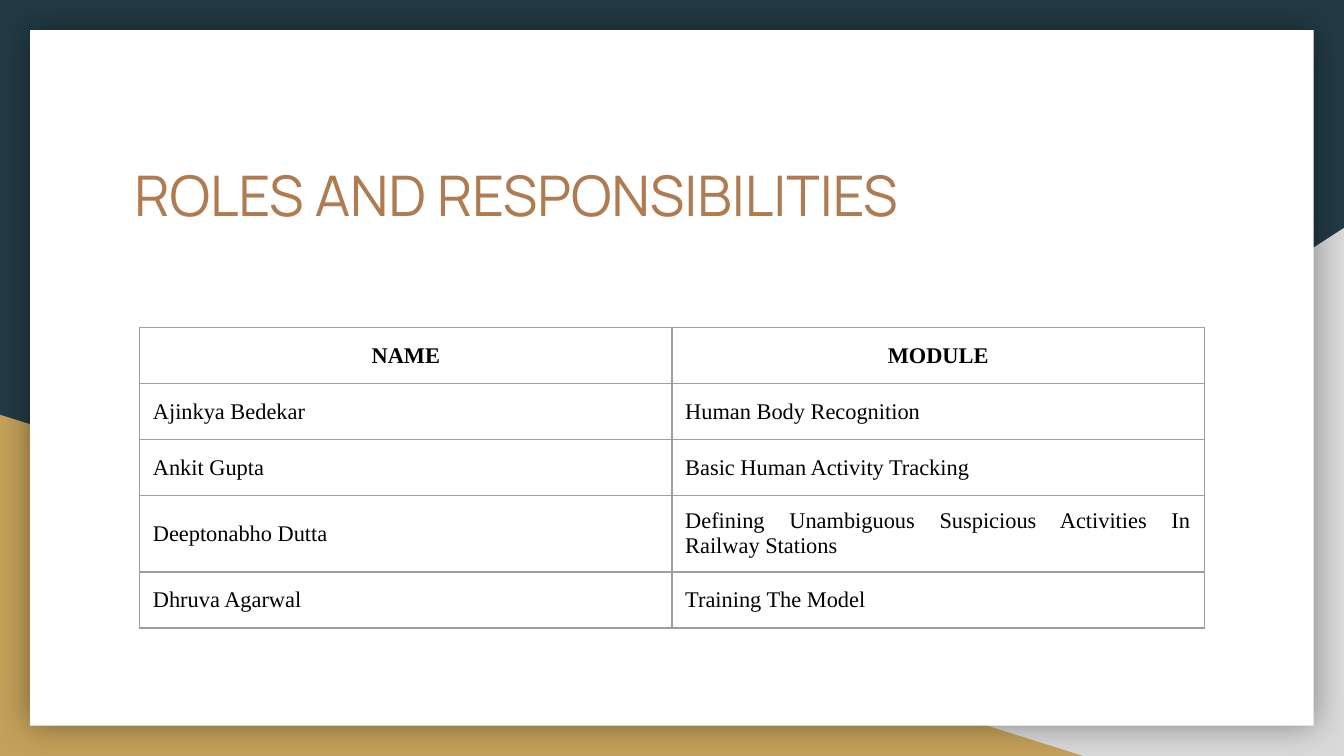
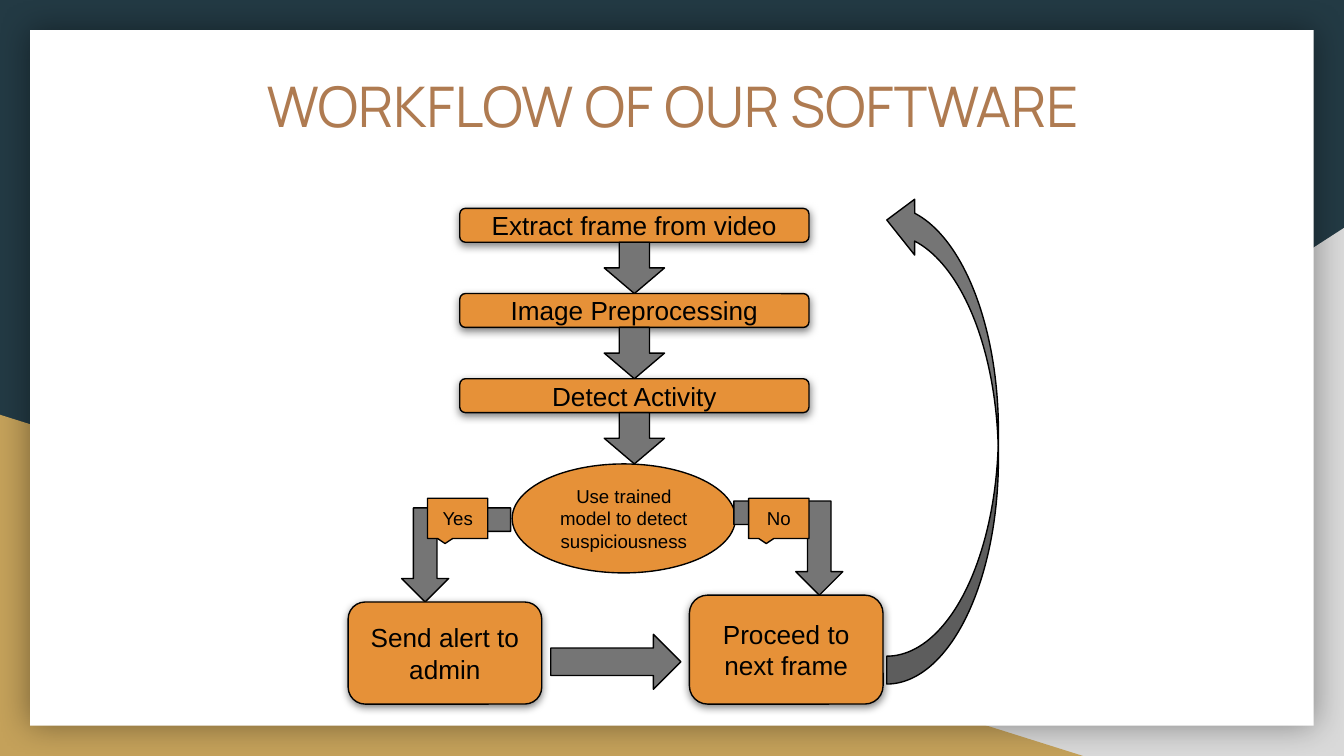
import collections

import lxml.etree
import pptx
import pptx.dml.color
import pptx.enum.shapes
import pptx.enum.text
import pptx.oxml.ns
import pptx.util

Cm = pptx.util.Cm
Pt = pptx.util.Pt
Kind = pptx.enum.shapes.MSO_SHAPE
Align = pptx.enum.text.PP_ALIGN
qn = pptx.oxml.ns.qn

Box = collections.namedtuple("Box", "left top width height")
Shadow = collections.namedtuple("Shadow", "color alpha blur distance direction")

COLORS = {
    "background": "233A44",
    "grey_corner": "D9D9D9",
    "gold_corner": "C4A15A",
    "card": "FFFFFF",
    "title": "AF7B51",
    "text": "000000",
    "step": "E69138",
    "arrow": "757575",
    "outline": "000000",
    "table_border": "9E9E9E",
}
FONTS = {"title": "Manrope", "table": "Times New Roman", "flow": "Arial"}
CARD_SHADOW = Shadow("000000", 40, 18, 0, 0)
STEP_SHADOW = Shadow("000000", 50, 4.5, 1.5, 90)
INSET = 0.25

ROLES = [
    ("NAME", "MODULE"),
    ("Ajinkya Bedekar", "Human Body Recognition"),
    ("Ankit Gupta", "Basic Human Activity Tracking"),
    ("Deeptonabho Dutta", "Defining Unambiguous Suspicious Activities In Railway Stations"),
    ("Dhruva Agarwal", "Training The Model"),
]
STEPS = ["Extract frame from video", "Image Preprocessing", "Detect Activity"]


def rgb(name):
    """Return the named colour."""
    return pptx.dml.color.RGBColor.from_string(COLORS[name])


def write_text(holder, text, font, size, color="text", bold=False, align=Align.CENTER):
    """Write one formatted paragraph into a text frame or table cell."""
    holder.margin_left = holder.margin_right = Cm(INSET)
    holder.margin_top = holder.margin_bottom = Cm(INSET)
    holder.vertical_anchor = pptx.enum.text.MSO_ANCHOR.MIDDLE
    frame = getattr(holder, "text_frame", holder)
    frame.text = text
    paragraph = frame.paragraphs[0]
    paragraph.alignment = align
    paragraph.font.name = FONTS[font]
    paragraph.font.size = Pt(size)
    paragraph.font.bold = bold
    paragraph.font.color.rgb = rgb(color)


def add_shadow(shape, shadow):
    """Give a shape an outer shadow."""
    effects = shape.element.spPr.find(qn("a:effectLst"))
    outer = lxml.etree.SubElement(
        effects, qn("a:outerShdw"), blurRad=str(int(Pt(shadow.blur))),
        dist=str(int(Pt(shadow.distance))), dir=str(shadow.direction * 60000),
        algn="bl", rotWithShape="0")
    color = lxml.etree.SubElement(outer, qn("a:srgbClr"), val=shadow.color)
    lxml.etree.SubElement(color, qn("a:alpha"), val=str(shadow.alpha * 1000))


def add_block(slide, kind, box, fill, outline="outline", shadow=None,
              adjustments=(), rotation=0, flip=False):
    """Add a filled preset shape in the given box."""
    shape = slide.shapes.add_shape(kind, *map(Cm, box))
    shape.shadow.inherit = False
    shape.fill.solid()
    shape.fill.fore_color.rgb = rgb(fill)
    if outline:
        shape.line.color.rgb = rgb(outline)
        shape.line.width = Pt(0.75)
    else:
        shape.line.fill.background()
    if shadow:
        add_shadow(shape, shadow)
    for index, value in enumerate(adjustments):
        shape.adjustments[index] = value
    shape.rotation = rotation
    if flip:
        shape.element.spPr.find(qn("a:xfrm")).set("flipH", "1")
    return shape


def add_label(slide, kind, box, text, size, **style):
    """Add an orange shape with centred text."""
    shape = add_block(slide, kind, box, "step", **style)
    shape.text_frame.word_wrap = True
    write_text(shape.text_frame, text, "flow", size)


def add_step(slide, box, text):
    """Add a rounded step with a shadow."""
    add_label(slide, Kind.ROUNDED_RECTANGLE, box, text, 14,
              shadow=STEP_SHADOW, adjustments=[0.167])


def decorate_layout(layout, slide, width, height):
    """Put the background, corners and card on the shared layout."""
    layout.background.fill.solid()
    layout.background.fill.fore_color.rgb = rgb("background")
    for placeholder in list(layout.placeholders):
        if placeholder.placeholder_format.idx:
            layout.shapes.element.remove(placeholder.element)
    grey = Box(9.96, 4.31, width - 9.96, height - 4.31)
    gold = Box(0, 7.84, 20.47, height - 7.84)
    card = Box(0.57, 0.57, width - 1.14, height - 1.14)
    parts = [
        add_block(slide, Kind.RIGHT_TRIANGLE, grey, "grey_corner", outline=None, flip=True),
        add_block(slide, Kind.RIGHT_TRIANGLE, gold, "gold_corner", outline=None),
        add_block(slide, Kind.RECTANGLE, card, "card", outline=None, shadow=CARD_SHADOW),
    ]
    for index, part in enumerate(parts, start=2):
        layout.shapes.element.insert(index, part.element)


def place_title(slide, box, text, align):
    """Move and format the title placeholder."""
    title = slide.shapes.title
    title.left, title.top, title.width, title.height = map(Cm, box)
    title.text_frame.word_wrap = True
    title.text_frame.auto_size = pptx.enum.text.MSO_AUTO_SIZE.NONE
    write_text(title.text_frame, text, "title", 30, color="title", align=align)


def add_borders(cell):
    """Draw thin grey lines on all sides of a cell."""
    properties = cell._tc.get_or_add_tcPr()
    for side in ("lnL", "lnR", "lnT", "lnB"):
        line = lxml.etree.SubElement(properties, qn(f"a:{side}"), w=str(int(Pt(0.75))))
        fill = lxml.etree.SubElement(line, qn("a:solidFill"))
        lxml.etree.SubElement(fill, qn("a:srgbClr"), val=COLORS["table_border"])


def add_roles_table(slide, box):
    """Add the table of names and modules."""
    table = slide.shapes.add_table(len(ROLES), len(ROLES[0]), *map(Cm, box)).table
    table.first_row = table.horz_banding = False
    for row_index, row in enumerate(ROLES):
        header = row_index == 0
        for column_index, text in enumerate(row):
            cell = table.cell(row_index, column_index)
            write_text(cell, text, "table", 12, bold=header,
                       align=Align.CENTER if header else Align.JUSTIFY)
            add_borders(cell)
            cell.fill.background()


def add_workflow(slide, box):
    """Draw the flow chart inside the box."""
    def inside(left, top, width, height):
        return Box(box.left + left, box.top + top, width, height)

    def add_arrow(kind, place, adjustments, **style):
        add_block(slide, kind, inside(*place), "arrow", adjustments=adjustments, **style)

    first_top, pitch, step_height = 0.31, 1.61, 0.64
    for index, text in enumerate(STEPS):
        top = first_top + index * pitch
        add_step(slide, inside(2.11, top, 6.6, step_height), text)
        add_arrow(Kind.DOWN_ARROW, (4.84, top + step_height, 1.14, pitch - step_height),
                  [0.5, 0.5])
    decision_top = first_top + len(STEPS) * pitch
    add_label(slide, Kind.OVAL, inside(3.1, decision_top, 4.22, 2.06),
              "Use trained model to detect suspiciousness", 10)

    bend = [0.25, 0.25, 0.25]
    add_arrow(Kind.BENT_UP_ARROW, (7.29, 5.84, 2.06, 1.78), bend, rotation=180, flip=True)
    add_arrow(Kind.BENT_UP_ARROW, (1.01, 5.97, 2.06, 1.78), bend, rotation=180)
    for left, answer in ((1.5, "Yes"), (7.57, "No")):
        add_label(slide, Kind.RECTANGULAR_CALLOUT, inside(left, 5.79, 1.14, 0.76),
                  answer, 10, adjustments=[-0.208, 0.625])

    add_step(slide, inside(6.45, 7.62, 3.66, 2.06), "Proceed to next frame")
    add_arrow(Kind.CURVED_LEFT_ARROW, (10.18, 0, 2.11, 9.3), [0.25, 0.5, 0.25],
              rotation=180, flip=True)
    add_step(slide, inside(0, 7.75, 3.66, 1.93), "Send alert to admin")
    add_arrow(Kind.RIGHT_ARROW, (3.83, 8.36, 2.46, 1.04), [0.5, 0.5])


def main():
    """Build both slides and save them."""
    width, height = 25.4, 14.29
    presentation = pptx.Presentation()
    presentation.slide_width, presentation.slide_height = Cm(width), Cm(height)
    layout = presentation.slide_layouts.get_by_name("Title Only")

    roles_slide = presentation.slides.add_slide(layout)
    decorate_layout(layout, roles_slide, width, height)
    place_title(roles_slide, Box(2.29, 2.34, 20.85, 2.64),
                "ROLES AND RESPONSIBILITIES", Align.JUSTIFY)
    add_roles_table(roles_slide, Box(2.64, 6.19, 20.12, 5.3))

    workflow_slide = presentation.slides.add_slide(layout)
    place_title(workflow_slide, Box(2.29, 0.66, 20.85, 2.64),
                "WORKFLOW OF OUR SOFTWARE", Align.CENTER)
    add_workflow(workflow_slide, Box(6.58, 3.63, 12.29, 9.68))

    presentation.save("out.pptx")


if __name__ == "__main__":
    main()
